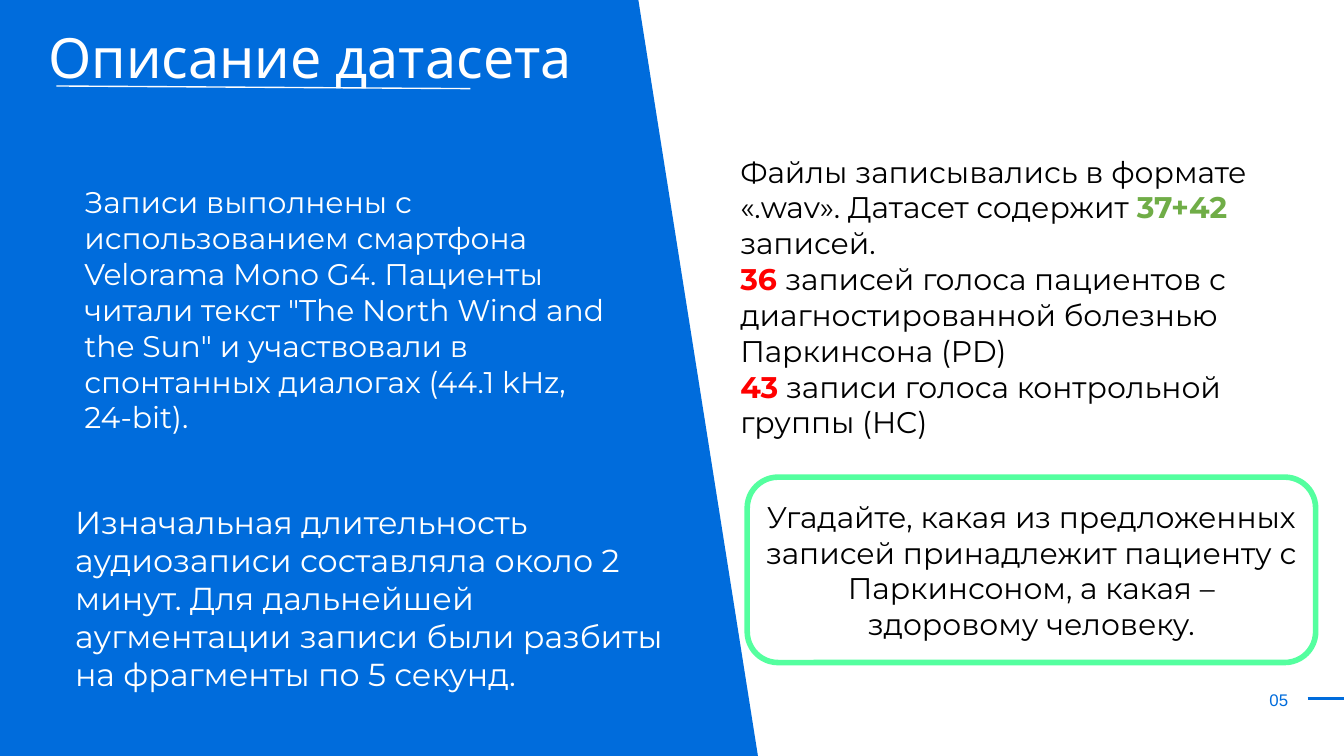
from pptx import Presentation
from pptx.dml.color import RGBColor
from pptx.enum.shapes import MSO_CONNECTOR, MSO_SHAPE
from pptx.enum.text import PP_ALIGN
from pptx.oxml.ns import qn
from pptx.util import Inches, Pt
from lxml.etree import SubElement

BLUE = RGBColor(0x00, 0x6C, 0xDC)
MINT = RGBColor(0x54, 0xFF, 0x9F)
GREEN = RGBColor(0x70, 0xAD, 0x47)
RED = RGBColor(0xFF, 0x00, 0x00)
WHITE = RGBColor(0xFF, 0xFF, 0xFF)
BLACK = RGBColor(0x00, 0x00, 0x00)

WIDE = Inches(10)
HIGH = WIDE * 9 // 16
BODY = "Montserrat"


def spot(x, y):
    """Turn percent of the slide's width and height into lengths."""
    return round(WIDE * x / 100), round(HIGH * y / 100)


def add_panel(slide, points, color):
    first, *rest = [spot(*point) for point in points]
    pen = slide.shapes.build_freeform(*first)
    pen.add_line_segments(rest, close=True)
    panel = pen.convert_to_shape()
    panel.shadow.inherit = False
    panel.fill.solid()
    panel.fill.fore_color.rgb = color
    panel.line.fill.background()


def add_frame(slide, place, size, color):
    frame = slide.shapes.add_shape(
        MSO_SHAPE.ROUNDED_RECTANGLE, *spot(*place), *spot(*size))
    frame.shadow.inherit = False
    frame.fill.background()
    frame.line.color.rgb = color
    frame.line.width = Pt(3)


def add_line(slide, start, end, color, width):
    line = slide.shapes.add_connector(
        MSO_CONNECTOR.STRAIGHT, *spot(*start), *spot(*end))
    line.line.color.rgb = color
    line.line.width = Pt(width)
    SubElement(line._element.spPr, qn("a:effectLst"))


def add_text(slide, place, size, paras, points, color,
             font=BODY, align=PP_ALIGN.LEFT, inset=(0.1, 0.1)):
    """Each paragraph is a list of (text, accent colour or None)."""
    box = slide.shapes.add_textbox(*spot(*place), *spot(*size))
    frame = box.text_frame
    frame.word_wrap = True
    frame.margin_left = frame.margin_right = Inches(inset[0])
    frame.margin_top = frame.margin_bottom = Inches(inset[1])
    for index, parts in enumerate(paras):
        para = frame.add_paragraph() if index else frame.paragraphs[0]
        para.alignment = align
        para.font.name = font
        para.font.size = Pt(points)
        para.font.color.rgb = color
        for text, accent in parts:
            run = para.add_run()
            run.text = text
            if accent is not None:
                run.font.bold = True
                run.font.color.rgb = accent


def main():
    deck = Presentation()
    deck.slide_width, deck.slide_height = WIDE, HIGH
    slide = deck.slides.add_slide(deck.slide_layouts[6])

    # Slanted panel and frame of the question
    add_panel(slide, [(47.5, 0), (0, 0), (0, 100), (56.4, 100)], BLUE)
    add_frame(slide, (55.6, 63.11), (42.3, 24.53), MINT)

    # Left side: how the recordings were made
    add_text(slide, (5.3, 22.58), (41.7, 37.16), [[(
        "Записи выполнены с использованием смартфона Velorama Mono G4. "
        "Пациенты читали текст \"The North Wind and the Sun\" и участвовали "
        "в спонтанных диалогах (44.1 kHz, 24-bit).", None)]], 16, WHITE)

    # Right side: the question and what the data set holds
    add_text(slide, (55.6, 65.07), (42.3, 22.76), [[(
        "Угадайте, какая из предложенных записей принадлежит пациенту "
        "с Паркинсоном, а какая – здоровому человеку.", None)]],
        16, BLACK, align=PP_ALIGN.CENTER, inset=(0.1, 0.05))
    add_text(slide, (54.1, 18.49), (45.2, 41.96), [
        [("Файлы записывались в формате «.wav». Датасет содержит ", None),
         ("37+42", GREEN), (" записей.", None)],
        [("36 ", RED), ("записей голоса пациентов с диагностированной "
                        "болезнью Паркинсона (PD)", None)],
        [("43", RED), (" записи голоса контрольной группы (HC)", None)],
    ], 16, BLACK)

    # Title
    add_text(slide, (2.6, 1.24), (93.2, 11.2),
             [[("Описание датасета", None)]], 29.7, WHITE, "League Spartan")
    add_line(slide, (4.2, 11.38), (35, 11.73), WHITE, 0.75)

    # Left side: how long the recordings are
    add_text(slide, (4.6, 64.71), (45.8, 28.98), [[(
        "Изначальная длительность аудиозаписи составляла около 2 минут. "
        "Для дальнейшей аугментации записи были разбиты на фрагменты "
        "по 5 секунд.", None)]], 17, WHITE)

    # Page number
    add_text(slide, (93.5, 90.49), (3.3, 4.09), [[("05", None)]], 9, BLUE,
             "Arial", PP_ALIGN.CENTER, (0.07, 0.04))
    add_line(slide, (97.3, 92.44), (101.5, 92.44), BLUE, 1.5)

    deck.save("out.pptx")


if __name__ == "__main__":
    main()
